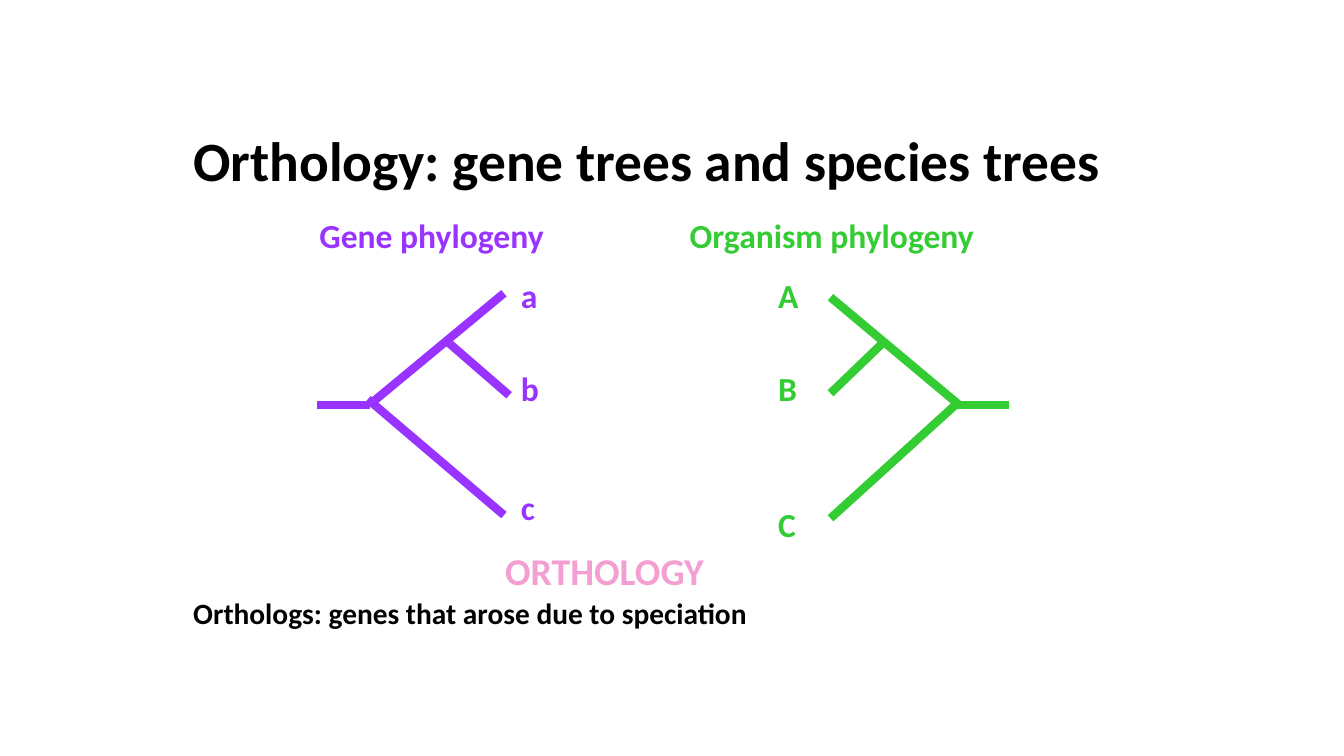
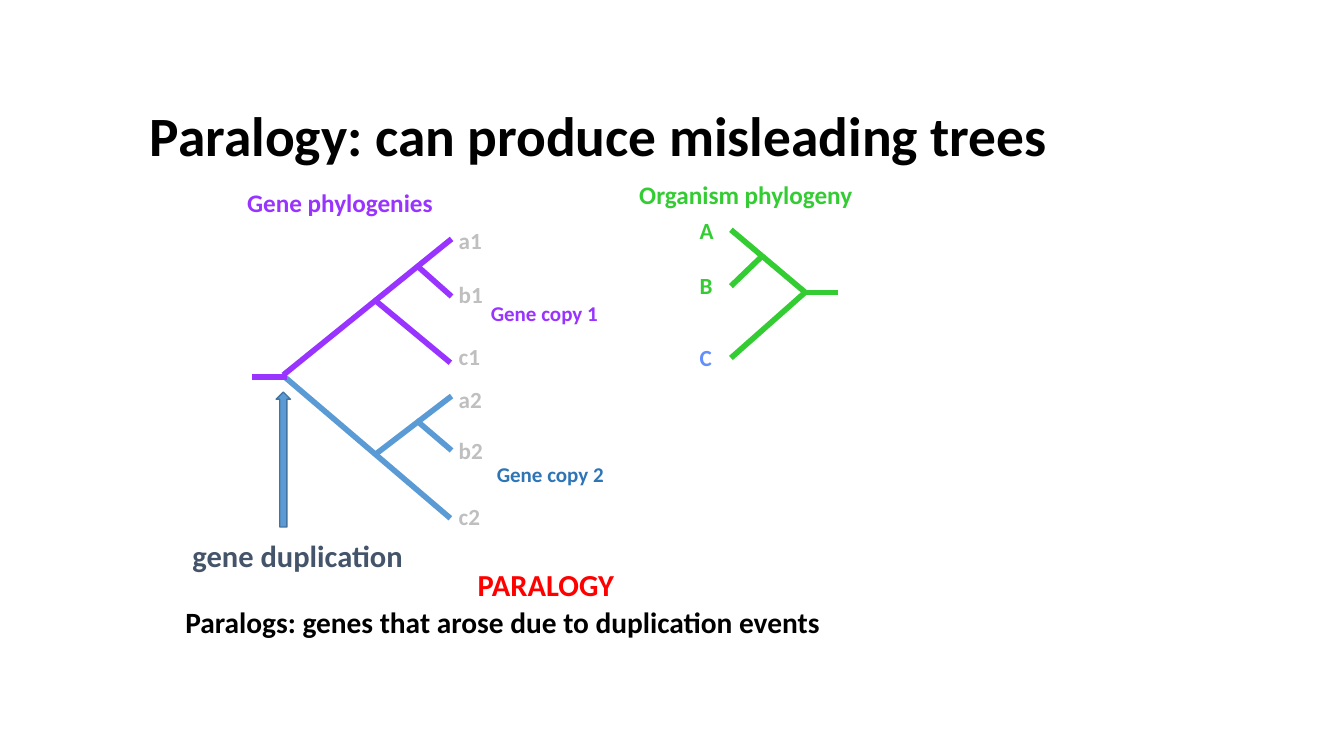
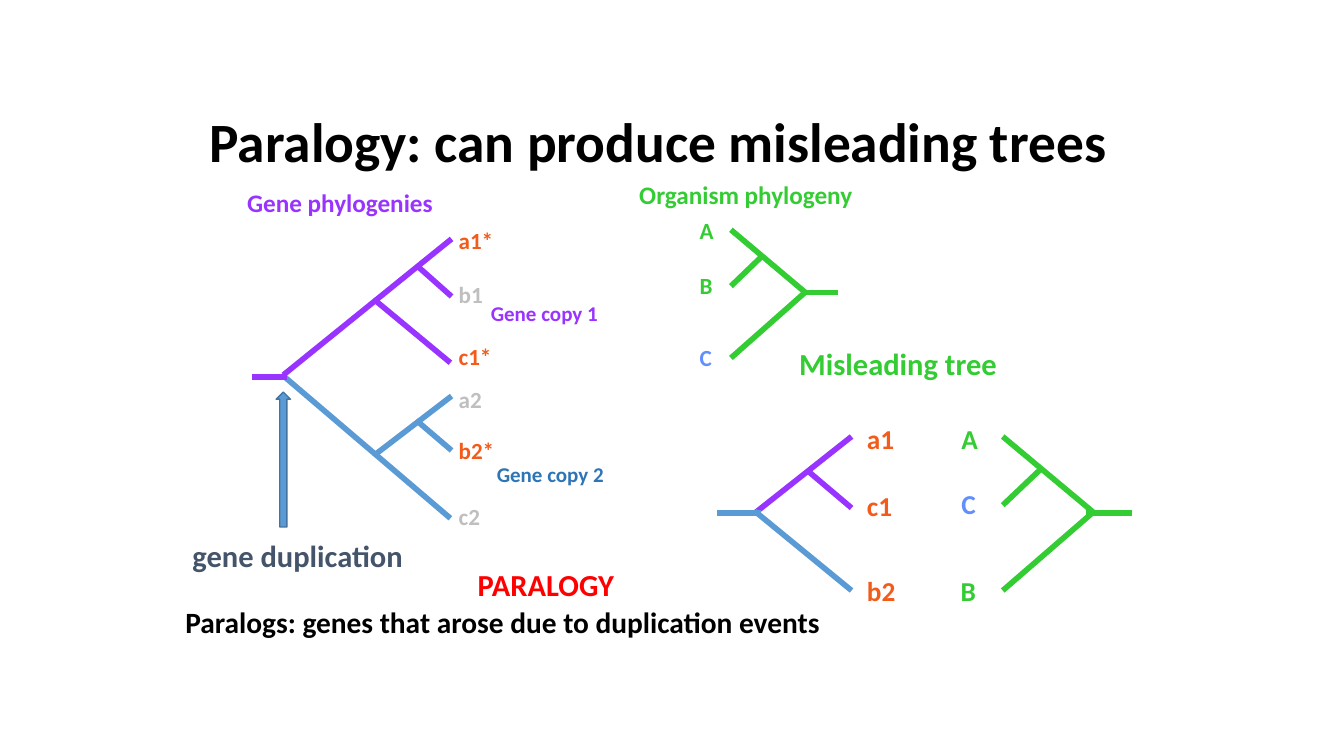
from lxml.etree import SubElement
from pptx import Presentation
from pptx.dml.color import RGBColor
from pptx.enum.shapes import MSO_CONNECTOR, MSO_SHAPE
from pptx.enum.text import MSO_ANCHOR, MSO_AUTO_SIZE
from pptx.oxml.ns import qn
from pptx.util import Cm, Pt

FONT = "Calibri"
COLOURS = {
    "black": "000000", "pink": "F39FD1", "purple": "9933FF", "green": "33CC33",
    "red": "FF0000", "grey": "BFBFBF", "orange": "F35B1B", "blue": "5B9BD5",
    "edge": "43739E", "navy": "44546A", "deep": "2E75B6", "sky": "618FFD",
}
WIDE_PADDING, SLIM_PADDING = (0.23, 0.13), (0.18, 0.1)
WIDE_SIZES = (19.5, 24, 27)

# Labels: text, left, top, width, size, colour
# Branches: x1, y1, x2, y2, colour
ORTHOLOGY_LABELS = [
    ("Gene phylogeny", 7.82, 5.28, 6.38, 24, "purple"),
    ("a", 12.9, 6.81, 0.89, 24, "purple"),
    ("b", 12.9, 9.14, 0.91, 24, "purple"),
    ("c", 12.9, 12.14, 0.81, 24, "purple"),
    ("Organism phylogeny", 17.15, 5.28, 7.7, 24, "green"),
    ("A", 19.38, 6.81, 0.99, 24, "green"),
    ("B", 19.38, 9.14, 0.94, 24, "green"),
    ("C", 19.38, 12.57, 0.91, 24, "green"),
    ("ORTHOLOGY", 12.5, 13.67, 5.51, 27, "pink"),
]
ORTHOLOGY_BRANCHES = [
    (12.7, 7.39, 9.32, 10.19, "purple"),
    (12.7, 12.98, 9.27, 10.06, "purple"),
    (12.83, 9.96, 11.25, 8.59, "purple"),
    (9.32, 10.21, 7.98, 10.21, "purple"),
    (20.93, 7.49, 24.18, 10.21, "green"),
    (20.93, 13.06, 24.18, 10.11, "green"),
    (20.93, 9.91, 22.3, 8.59, "green"),
    (25.43, 10.21, 24.05, 10.21, "green"),
]
PARALOGY_LABELS = [
    ("Gene phylogenies", 6.05, 4.62, 5.23, 18, "purple"),
    ("gene duplication", 4.67, 13.44, 5.72, 21.8, "navy"),
    ("Organism phylogeny", 15.93, 4.42, 5.79, 18, "green"),
    ("A", 17.45, 5.36, 0.74, 16.5, "green"),
    ("B", 17.45, 6.73, 0.71, 16.5, "green"),
    ("C", 17.45, 8.56, 0.69, 16.5, "sky"),
    ("Gene copy 1", 12.19, 7.47, 3.1, 15, "purple"),
    ("Gene copy 2", 12.34, 11.53, 3.1, 15, "deep"),
    ("PARALOGY", 11.86, 14.15, 3.84, 21.8, "red"),
]
PARALOGY_BRANCHES = [
    (11.38, 6.02, 7.14, 9.45, "purple"),
    (11.35, 9.14, 9.42, 7.54, "purple"),
    (11.38, 7.47, 10.49, 6.68, "purple"),
    (11.38, 9.98, 9.42, 11.48, "blue"),
    (11.35, 13.06, 7.14, 9.47, "blue"),
    (11.38, 11.35, 10.49, 10.59, "blue"),
    (7.24, 9.5, 6.35, 9.5, "purple"),
    (18.42, 5.79, 20.32, 7.39, "green"),
    (18.42, 9.02, 20.32, 7.34, "green"),
    (18.42, 7.21, 19.23, 6.43, "green"),
    (21.11, 7.37, 20.19, 7.37, "green"),
]
GENES = [("a1", 5.61, 0.97), ("b1", 6.96, 0.99), ("c1", 8.53, 0.91),
         ("a2", 9.6, 0.97), ("b2", 10.9, 0.99), ("c2", 12.55, 0.91)]
GENE_LEFT, STAR_WIDTH = 11.38, 0.3
SAMPLED_GENES = ("a1", "c1", "b2")
MISLEADING_LABELS = [
    ("Misleading tree", 19.96, 8.59, 5.41, 21.8, "green"),
    ("A", 24, 10.52, 0.89, 19.5, "green"),
    ("C", 24, 12.14, 0.84, 19.5, "sky"),
    ("B", 23.98, 14.35, 0.86, 19.5, "green"),
    ("a1", 21.62, 10.52, 1.17, 19.5, "orange"),
    ("c1", 21.62, 12.19, 1.12, 19.5, "orange"),
    ("b2", 21.62, 14.33, 1.19, 19.5, "orange"),
]
MISLEADING_BRANCHES = [
    (25.27, 11, 27.58, 12.93, "green"),
    (25.27, 14.88, 27.58, 12.88, "green"),
    (25.27, 12.73, 26.26, 11.79, "green"),
    (28.52, 12.93, 27.38, 12.93, "green"),
    (21.46, 11, 19.02, 12.93, "purple"),
    (21.46, 14.88, 19.02, 12.88, "blue"),
    (21.46, 12.8, 20.35, 11.86, "purple"),
    (19.18, 12.93, 18.06, 12.93, "blue"),
]
PARALOGY_TITLE = "Paralogy: can produce misleading trees"
PARALOGY_NOTE = ("Paralogs: genes that arose due to duplication events", 4.42, 15.09, 22.99)


def colour(name):
    return RGBColor.from_string(COLOURS[name])


def add_text(page, text, left, top, width, height, size, shade):
    box = page.shapes.add_textbox(Cm(left), Cm(top), Cm(width), Cm(height))
    box.text_frame.word_wrap = True
    para = box.text_frame.paragraphs[0]
    para.text = text
    para.font.name = FONT
    para.font.size = Pt(size)
    para.font.bold = True
    para.font.color.rgb = colour(shade)
    return box.text_frame


def add_label(page, text, left, top, width, size, shade):
    side, edge = WIDE_PADDING if size in WIDE_SIZES else SLIM_PADDING
    frame = add_text(page, text, left, top, width, size * 0.043 + 2 * edge, size, shade)
    frame.word_wrap = False
    frame.auto_size = MSO_AUTO_SIZE.SHAPE_TO_FIT_TEXT
    frame.margin_left = frame.margin_right = Cm(side)
    frame.margin_top = frame.margin_bottom = Cm(edge)


def add_branch(page, x1, y1, x2, y2, shade, weight):
    branch = page.shapes.add_connector(MSO_CONNECTOR.STRAIGHT, Cm(x1), Cm(y1), Cm(x2), Cm(y2))
    branch.line.color.rgb = colour(shade)
    branch.line.width = Pt(weight)
    SubElement(branch.element.spPr, qn("a:effectLst"))


def add_page(deck, title, note, labels, branches, weight):
    page = deck.slides.add_slide(deck.slide_layouts[6])
    for branch in branches:
        add_branch(page, *branch, weight)
    for label in labels:
        add_label(page, *label)
    frame = add_text(page, *title, 2.39, 39.6, "black")
    frame.vertical_anchor = MSO_ANCHOR.MIDDLE
    frame.paragraphs[0].line_spacing = 0.9
    add_text(page, *note, 1.14, 21, "black")
    return page


def gene_labels(sampled):
    for gene, top, width in GENES:
        if gene in sampled:
            yield gene + "*", GENE_LEFT, top, width + STAR_WIDTH, 16.5, "orange"
        else:
            yield gene, GENE_LEFT, top, width, 16.5, "grey"


def add_paralogy_page(deck, title_place, sampled, labels, branches):
    page = add_page(deck, (PARALOGY_TITLE, *title_place), PARALOGY_NOTE,
                    [*PARALOGY_LABELS, *gene_labels(sampled), *labels],
                    PARALOGY_BRANCHES + branches, 4)
    arrow = page.shapes.add_shape(MSO_SHAPE.UP_ARROW, Cm(6.96), Cm(9.88), Cm(0.36), Cm(3.4))
    arrow.shadow.inherit = False
    arrow.fill.solid()
    arrow.fill.fore_color.rgb = colour("blue")
    arrow.line.color.rgb = colour("edge")
    arrow.line.width = Pt(1)


def main():
    deck = Presentation()
    deck.slide_width, deck.slide_height = Cm(33.87), Cm(19.05)
    add_page(deck, ("Orthology: gene trees and species trees", 4.62, 2.92, 23.93),
             ("Orthologs: genes that arose due to speciation", 4.62, 14.88, 20.19),
             ORTHOLOGY_LABELS, ORTHOLOGY_BRANCHES, 6)
    add_paralogy_page(deck, (3.53, 2.29, 25.81), (), [], [])
    add_paralogy_page(deck, (5.03, 2.46, 24.31), SAMPLED_GENES,
                      MISLEADING_LABELS, MISLEADING_BRANCHES)
    deck.save("out.pptx")


if __name__ == "__main__":
    main()
